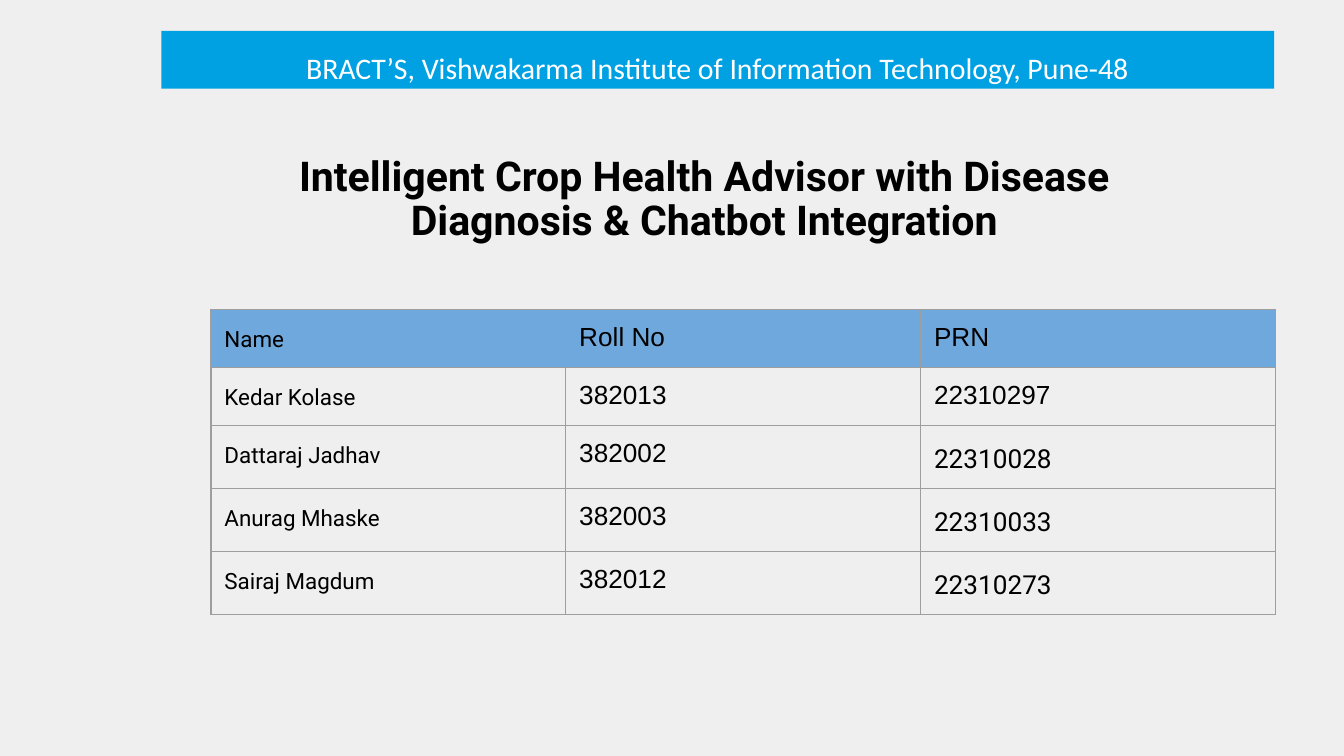
from lxml.etree import SubElement
from pptx import Presentation
from pptx.dml.color import RGBColor
from pptx.enum.shapes import MSO_SHAPE
from pptx.enum.text import MSO_ANCHOR, PP_ALIGN
from pptx.oxml.ns import qn
from pptx.util import Inches, Pt

COLORS = {"back": "EFEFEF", "bar": "00A1E3", "head": "6FA8DC",
          "grid": "9E9E9E", "white": "FFFFFF", "black": "000000"}
PLAIN = "{2D5ABB26-0587-4C30-8999-92F81FD0307C}"  # No Style, No Grid
ROWS = [
    ("Name", "Roll No", "PRN"),
    ("Kedar Kolase", "382013", "22310297"),
    ("Dattaraj Jadhav", "382002", "22310028"),
    ("Anurag Mhaske", "382003", "22310033"),
    ("Sairaj Magdum", "382012", "22310273"),
]


def rgb(name):
    return RGBColor.from_string(COLORS[name])


def write(frame, text, font, size, color="black", space=1.0, bold=False):
    frame.word_wrap = True
    para = frame.paragraphs[0]
    para.text = text
    para.line_spacing = space
    para.font.name = font
    para.font.size = Pt(size)
    para.font.bold = bold
    para.font.color.rgb = rgb(color)
    return para


# A 16:9 slide
deck = Presentation()
deck.slide_width = Inches(10)
deck.slide_height = Inches(10 * 9 / 16)
slide = deck.slides.add_slide(deck.slide_layouts[6])
slide.background.fill.solid()
slide.background.fill.fore_color.rgb = rgb("back")

# Banner
bar = slide.shapes.add_shape(MSO_SHAPE.RECTANGLE, Inches(1.2), Inches(0.23),
                             Inches(8.28), Inches(0.43))
bar.shadow.inherit = False
bar.fill.solid()
bar.fill.fore_color.rgb = rgb("bar")
bar.line.fill.background()
school = write(bar.text_frame,
               "BRACT’S, Vishwakarma Institute of Information Technology, Pune-48",
               "Calibri", 16, "white", 1.15)

# Title
title = slide.shapes.add_textbox(Inches(1.77), Inches(1.06), Inches(6.94), Inches(1))
topic = write(title.text_frame,
              "Intelligent Crop Health Advisor with Disease Diagnosis & Chatbot Integration",
              "Roboto", 22, space=0.9, bold=True)

for frame, para in ((bar.text_frame, school), (title.text_frame, topic)):
    para.alignment = PP_ALIGN.CENTER
    frame.vertical_anchor = MSO_ANCHOR.TOP
    frame.margin_left = frame.margin_right = Inches(0.1)
    frame.margin_top = frame.margin_bottom = Inches(0.1)

# Team table
table = slide.shapes.add_table(len(ROWS), 3, Inches(1.57), Inches(2.3),
                               Inches(7.92), Inches(2.1)).table
table.first_row = table.horz_banding = False
table._tbl.tblPr.find(qn("a:tableStyleId")).text = PLAIN
for col in table.columns:
    col.width = Inches(2.64)

for r, row in enumerate(ROWS):
    table.rows[r].height = Inches(0.42)
    for c, text in enumerate(row):
        cell = table.cell(r, c)
        cell.margin_left = cell.margin_right = Inches(0.1)
        cell.margin_top = cell.margin_bottom = Inches(0.1)
        # Names and the last three PRNs are in Roboto
        loose = c == 0 or (c == 2 and r > 1)
        write(cell.text_frame, text, "Roboto" if loose else "Arial",
              12 if c == 0 else 14, space=1.15 if loose else 1.0)

        # Borders come before the fill in the cell XML
        props = cell._tc.get_or_add_tcPr()
        for side in ("a:lnL", "a:lnR", "a:lnT", "a:lnB"):
            line = SubElement(props, qn(side), w=str(Pt(0.75)))
            paint = SubElement(line, qn("a:solidFill"))
            SubElement(paint, qn("a:srgbClr"), val=COLORS["grid"])
        if r == 0:
            cell.fill.solid()
            cell.fill.fore_color.rgb = rgb("head")
        else:
            cell.fill.background()

deck.save("out.pptx")
